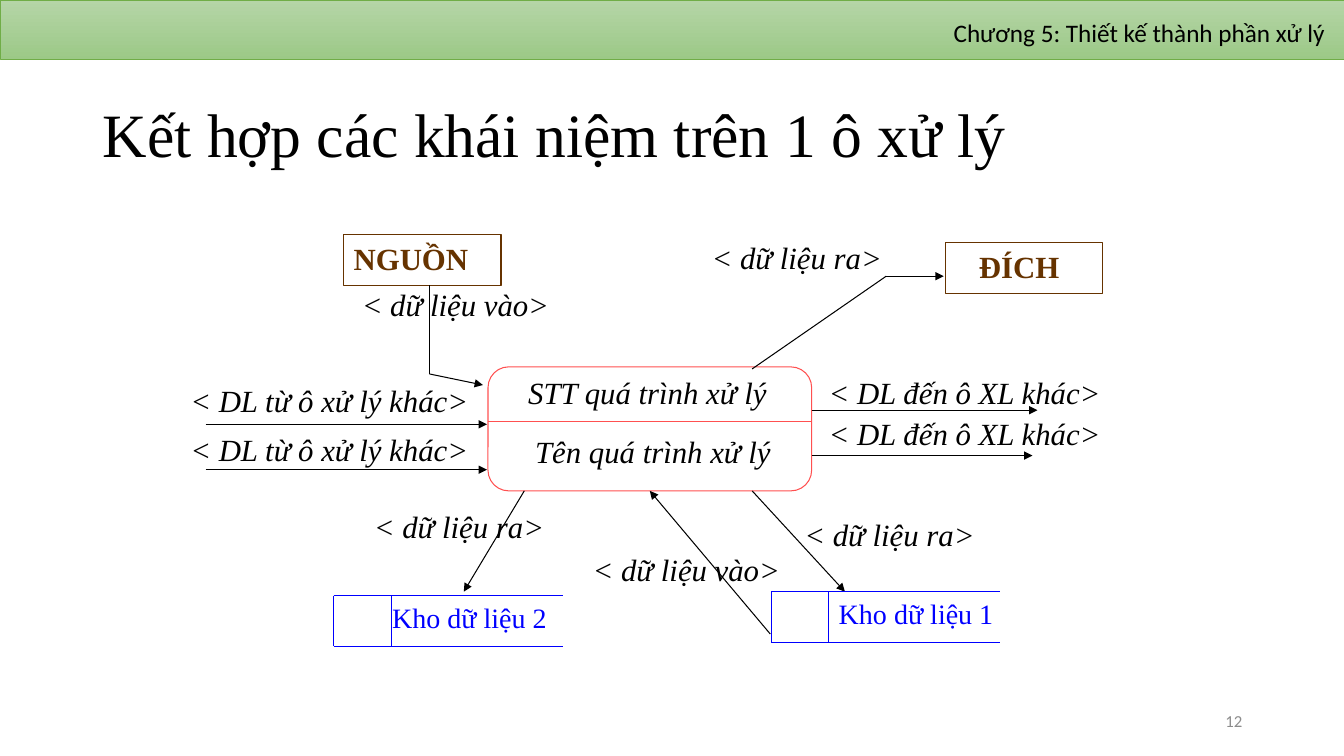
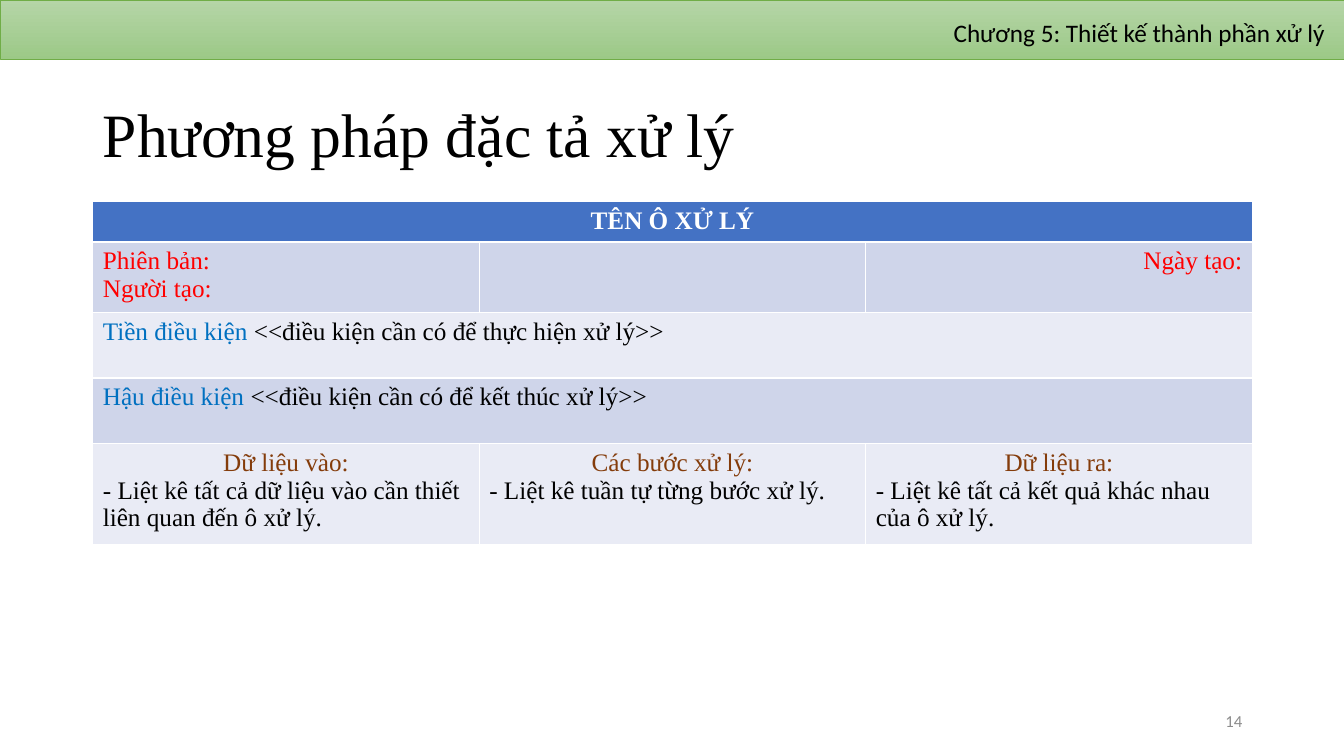
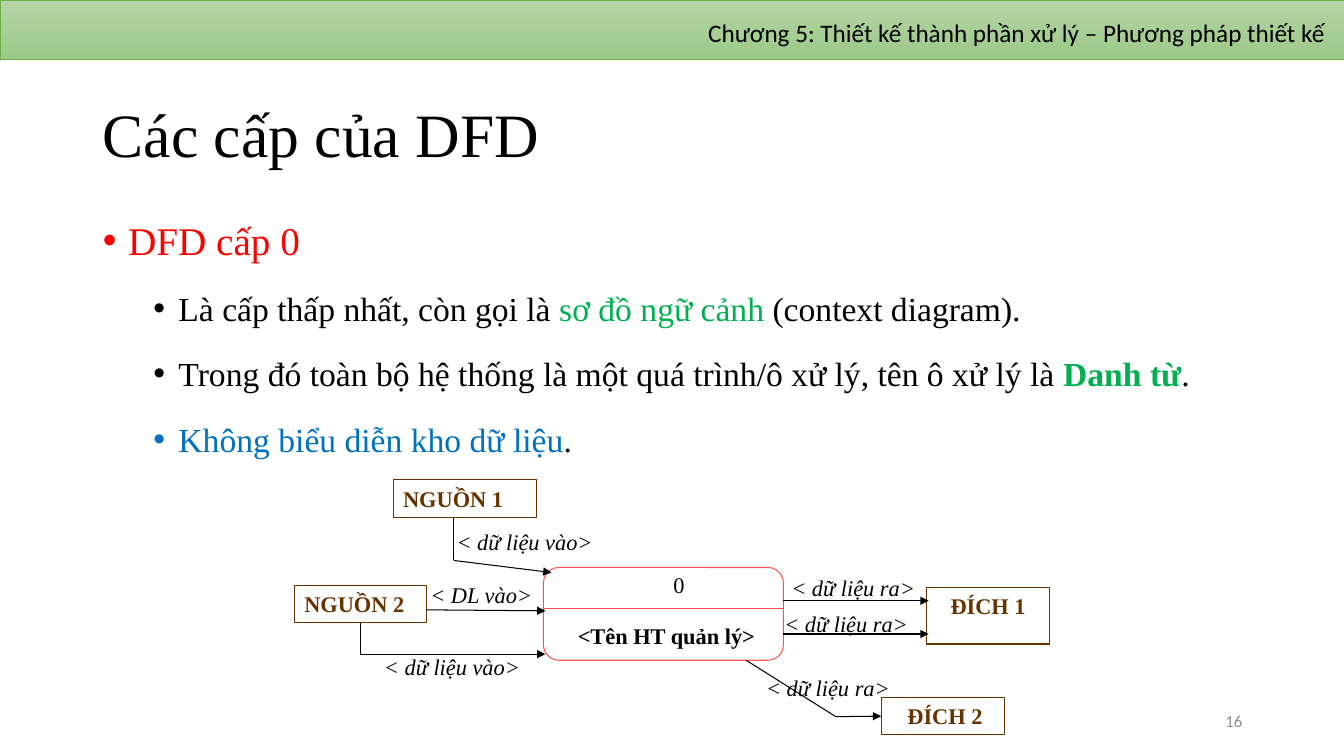
"""Builds three slides on process design: a data flow diagram, a specification table and DFD levels."""
from itertools import pairwise

from pptx import Presentation
from pptx.dml.color import RGBColor
from pptx.enum.shapes import MSO_CONNECTOR as Connector, MSO_SHAPE as Preset
from pptx.enum.text import MSO_ANCHOR as Anchor, MSO_AUTO_SIZE as AutoSize, PP_ALIGN as Align
from pptx.oxml.ns import qn
from pptx.util import Inches, Pt
from lxml.etree import SubElement

BLACK = RGBColor(0x00, 0x00, 0x00)
WHITE = RGBColor(0xFF, 0xFF, 0xFF)
GRAY = RGBColor(0x8C, 0x8C, 0x8C)
RED = RGBColor(0xFF, 0x00, 0x00)
CORAL = RGBColor(0xFF, 0x50, 0x50)
BROWN = RGBColor(0x66, 0x33, 0x00)
RUST = RGBColor(0x84, 0x3C, 0x0B)
GREEN = RGBColor(0x00, 0xB0, 0x50)
SKY = RGBColor(0x00, 0x70, 0xC0)
BLUE = RGBColor(0x00, 0x00, 0xFF)
BAND_TOP = RGBColor(0xB5, 0xD5, 0xA7)
BAND_BOTTOM = RGBColor(0x9C, 0xC9, 0x87)
BAND_LINE = RGBColor(0x70, 0xAD, 0x47)
TABLE_HEAD = RGBColor(0x44, 0x72, 0xC4)
TABLE_DARK = RGBColor(0xCF, 0xD5, 0xEA)
TABLE_LIGHT = RGBColor(0xE9, 0xEB, 0xF5)
SERIF, SANS = "Times New Roman", "Calibri"

CHAPTER = "Chương 5: Thiết kế thành phần xử lý"
DATA_IN, DATA_OUT = "< dữ liệu vào>", "< dữ liệu ra>"
FROM_PROCESS, TO_PROCESS = "< DL từ ô xử lý khác>", "< DL đến ô XL khác>"
PLAIN, ITALIC, BOLD = {}, {"italic": True}, {"bold": True}

PROCESS_DIAGRAM = {
    "size": 22,
    "process": (4.84, 3.64, 3.21, 1.23),
    "divider": 4.18,
    "boxes": [
        ("NGUỒN", (3.41, 2.33, 1.56, 0.5), 0.1, Align.LEFT),
        ("ĐÍCH", (9.38, 2.41, 1.56, 0.5), 0.33, Align.LEFT),
    ],
    "process_texts": [
        ("STT quá trình xử lý", (4.88, 3.66, 3.08, 0.5), ITALIC),
        ("Tên quá trình xử lý", (4.99, 4.24, 2.97, 0.5), ITALIC),
    ],
    "flows": [
        ([(4.26, 2.83), (4.26, 3.71), (4.79, 3.82)], None),
        ([(7.46, 3.66), (8.79, 2.74), (9.36, 2.74)], None),
        ([(2.04, 4.21), (4.83, 4.21)], None),
        ([(2.04, 4.66), (4.83, 4.66)], None),
        ([(8.05, 4.07), (10.29, 4.07)], None),
        ([(8.05, 4.52), (10.24, 4.52)], None),
        ([(5.2, 4.87), (4.6, 5.87)], None),
        ([(7.46, 4.87), (8.38, 5.87)], None),
        ([(7.64, 6.29), (6.44, 4.87)], ("process", 2)),
    ],
    "outlines": [],
    "labels": [
        (FROM_PROCESS, 1.79, 3.74, 3.07), (FROM_PROCESS, 1.79, 4.22, 3.17),
        (TO_PROCESS, 8.12, 3.66, 3.42), (TO_PROCESS, 8.12, 4.07, 3.42),
        (DATA_IN, 3.49, 2.79, 2.26), (DATA_OUT, 6.96, 2.32, 2.26),
        (DATA_OUT, 3.61, 4.99, 2.26), (DATA_OUT, 7.88, 5.07, 2.26),
        (DATA_IN, 5.78, 5.41, 2.26),
    ],
    "stores": [("Kho dữ liệu 1", 7.65, 5.87, 8.22), ("Kho dữ liệu 2", 3.31, 5.91, 3.79)],
}

CONTEXT_DIAGRAM = {
    "size": 16,
    "process": (5.39, 5.63, 2.38, 0.92),
    "divider": 6.04,
    "boxes": [
        ("NGUỒN 1", (3.9, 4.76, 1.42, 0.37), 0.1, Align.LEFT),
        ("NGUỒN 2", (2.92, 5.81, 1.31, 0.37), 0.1, Align.LEFT),
        ("ĐÍCH 1", (9.19, 5.83, 1.22, 0.56), 0.1, Align.CENTER),
        ("ĐÍCH 2", (8.74, 6.92, 1.22, 0.37), 0.26, Align.LEFT),
    ],
    "process_texts": [
        ("0", (6.52, 5.62, 0.43, 0.38), PLAIN),
        ("<Tên HT quản lý>", (5.46, 6.12, 2.3, 0.38), BOLD),
    ],
    "flows": [
        ([(4.5, 5.13), (4.5, 5.56), (5.47, 5.68)], None),
        ([(4.23, 6.05), (5.41, 6.06)], None),
        ([(7.77, 5.96), (9.21, 5.96)], None),
        ([(7.77, 6.29), (9.21, 6.29)], None),
        ([(7.4, 6.55), (8.29, 7.11), (8.74, 7.11)], ("ĐÍCH 2", 1)),
    ],
    "outlines": [[(3.58, 6.18), (3.58, 6.49), (5.41, 6.49)]],
    "labels": [
        ("< DL vào>", 4.17, 5.72, 1.37), (DATA_IN, 3.71, 6.43, 1.78),
        (DATA_OUT, 7.75, 5.65, 1.78), (DATA_OUT, 7.68, 6, 1.78),
        (DATA_IN, 4.43, 5.19, 1.78), (DATA_OUT, 7.5, 6.64, 1.78),
    ],
    "stores": [],
}

LEFT, CENTER, RIGHT = Align.LEFT, Align.CENTER, Align.RIGHT
TABLE_ROWS = [
    (0.4, TABLE_HEAD, [[(CENTER, [("TÊN Ô XỬ LÝ", WHITE)])]]),
    (0.65, TABLE_DARK, [
        [(LEFT, [("Phiên bản:", RED)]), (LEFT, [("Người tạo:", RED)])],
        [],
        [(RIGHT, [("Ngày tạo:", RED)])],
    ]),
    (0.65, TABLE_LIGHT, [[(LEFT, [
        ("Tiền điều kiện", SKY), (" <<điều kiện cần có để thực hiện xử lý>>", BLACK)])]]),
    (0.65, TABLE_DARK, [[(LEFT, [
        ("Hậu điều kiện", SKY), (" <<điều kiện cần có để kết thúc xử lý>>", BLACK)])]]),
    (0.92, TABLE_LIGHT, [
        [(CENTER, [(heading, RUST)]), (LEFT, [(detail, BLACK)])]
        for heading, detail in [
            ("Dữ liệu vào:", "- Liệt kê tất cả dữ liệu vào cần thiết liên quan đến ô xử lý."),
            ("Các bước xử lý:", "- Liệt kê tuần tự từng bước xử lý."),
            ("Dữ liệu ra:", "- Liệt kê tất cả kết quả khác nhau của ô xử lý."),
        ]
    ]),
]

BULLETS = [
    (0, [("DFD cấp 0", RED, False)]),
    (1, [("Là cấp thấp nhất, còn gọi là ", BLACK, False), ("sơ đồ ngữ cảnh", GREEN, False),
         (" (context diagram).", BLACK, False)]),
    (1, [("Trong đó toàn bộ hệ thống là một quá trình/ô xử lý, tên ô xử lý là ", BLACK, False),
         ("Danh từ", GREEN, True), (".", BLACK, False)]),
    (1, [("Không biểu diễn kho dữ liệu", SKY, False), (".", BLACK, False)]),
]


def add_run(paragraph, text, size, color=BLACK, name=SERIF, bold=False, italic=False):
    run = paragraph.add_run()
    run.text = text
    font = run.font
    font.size, font.name, font.bold, font.italic = Pt(size), name, bold, italic
    font.color.rgb = color


def place(shape, left, top, width, height):
    shape.left, shape.top = Inches(left), Inches(top)
    shape.width, shape.height = Inches(width), Inches(height)


def add_text(slide, text, area, size, align=Align.LEFT, anchor=Anchor.TOP, **style):
    frame = slide.shapes.add_textbox(*map(Inches, area)).text_frame
    frame.word_wrap = True
    frame.vertical_anchor = anchor
    paragraph = frame.paragraphs[0]
    paragraph.alignment = align
    add_run(paragraph, text, size, **style)


def add_box(slide, preset, area, color):
    box = slide.shapes.add_shape(preset, *map(Inches, area))
    box.shadow.inherit = False
    box.fill.solid()
    box.fill.fore_color.rgb = WHITE
    box.line.color.rgb = color
    box.line.width = Pt(0.75)
    return box


def style_line(shape, color, arrow):
    shape.line.color.rgb = color
    shape.line.width = Pt(0.75)
    if arrow:
        SubElement(shape.line._get_or_add_ln(), qn("a:tailEnd"), type="triangle")


def add_line(slide, start, end, color=BLACK, arrow=False):
    line = slide.shapes.add_connector(Connector.STRAIGHT, *map(Inches, (*start, *end)))
    style_line(line, color, arrow)
    SubElement(line.element.spPr, qn("a:effectLst"))
    return line


def add_outline(slide, points):
    start, *rest = [tuple(map(Inches, point)) for point in points]
    builder = slide.shapes.build_freeform(*start)
    builder.add_line_segments(rest, close=False)
    outline = builder.convert_to_shape()
    outline.fill.background()
    style_line(outline, BLACK, True)
    outline.shadow.inherit = False


def add_store(slide, text, left, top, text_left):
    right, bottom, inner = left + 2.27, top + 0.5, left + 0.57
    for y in (top, bottom):
        add_line(slide, (left, y), (right, y), BLUE)
    for x in (left, inner):
        add_line(slide, (x, top), (x, bottom), BLUE)
    add_text(slide, text, (text_left, top, 1.98, 0.5), 20, color=BLUE)


def add_diagram(slide, diagram):
    size = diagram["size"]
    left, _, width, _ = diagram["process"]
    divider = diagram["divider"]
    boxes = {"process": add_box(slide, Preset.ROUNDED_RECTANGLE, diagram["process"], CORAL)}
    add_line(slide, (left, divider), (left + width, divider), CORAL)
    for text, area, margin, align in diagram["boxes"]:
        box = boxes[text] = add_box(slide, Preset.RECTANGLE, area, BROWN)
        frame = box.text_frame
        frame.vertical_anchor = Anchor.TOP
        frame.margin_left = Inches(margin)
        frame.paragraphs[0].alignment = align
        add_run(frame.paragraphs[0], text, size, BROWN, bold=True)
    for points, target in diagram["flows"]:
        for start, end in pairwise(points):
            line = add_line(slide, start, end, arrow=end == points[-1])
        if target:
            name, side = target
            line.end_connect(boxes[name], side)
    for points in diagram["outlines"]:
        add_outline(slide, points)
    for text, area, style in diagram["process_texts"]:
        add_text(slide, text, area, size, Align.CENTER, **style)
    for text, label_left, top, label_width in diagram["labels"]:
        add_text(slide, text, (label_left, top, label_width, 0.47), size, italic=True)
    for store in diagram["stores"]:
        add_store(slide, *store)


def add_specification(slide):
    table = slide.shapes.add_table(
        len(TABLE_ROWS), 3, *map(Inches, (0.92, 2, 11.5, 3.27))).table
    for row, (height, color, contents) in enumerate(TABLE_ROWS):
        table.rows[row].height = Inches(height)
        if len(contents) == 1:
            table.cell(row, 0).merge(table.cell(row, 2))
        for column in range(3):
            cell = table.cell(row, column)
            cell.fill.solid()
            cell.fill.fore_color.rgb = color
        for column, paragraphs in enumerate(contents):
            frame = table.cell(row, column).text_frame
            for index, (align, runs) in enumerate(paragraphs):
                paragraph = frame.add_paragraph() if index else frame.paragraphs[0]
                paragraph.alignment = align
                for text, text_color in runs:
                    add_run(paragraph, text, 18, text_color, bold=row == 0)


def add_bullets(slide):
    body = slide.placeholders[1]
    place(body, 0.92, 2, 11.5, 4.76)
    frame = body.text_frame
    frame.auto_size = AutoSize.NONE
    for index, (level, runs) in enumerate(BULLETS):
        paragraph = frame.add_paragraph() if index else frame.paragraphs[0]
        paragraph.level = level
        paragraph.alignment = Align.JUSTIFY
        paragraph.line_spacing = 1.2
        paragraph.space_before = paragraph.space_after = Pt(6)
        properties = paragraph._p.get_or_add_pPr()
        properties.set("marL", str(Inches(0.25 + 0.5 * level)))
        properties.set("indent", str(Inches(-0.25)))
        SubElement(properties, qn("a:buFont"), typeface="Arial")
        SubElement(properties, qn("a:buChar"), char="•")
        for text, color, bold in runs:
            add_run(paragraph, text, 28 - 4 * level, color, bold=bold)


def add_master_band(presentation, slide):
    band = add_box(slide, Preset.RECTANGLE, (0, 0, 13.33, 0.59), BAND_LINE)
    band.line.width = Pt(0.5)
    band.fill.gradient()
    band.fill.gradient_angle = 270
    for stop, color in zip(band.fill.gradient_stops, (BAND_TOP, BAND_BOTTOM)):
        stop.color.rgb = color
    band.element.nvSpPr.cNvPr.set("id", "20")
    presentation.slide_master.shapes.element.insert(2, band.element)


def start_slide(presentation, layout, title_text, number, header, header_width):
    slide = presentation.slides.add_slide(presentation.slide_layouts[layout])
    title = slide.shapes.title
    place(title, 0.92, 0.88, 11.5, 0.97)
    frame = title.text_frame
    frame.auto_size = AutoSize.NONE
    frame.vertical_anchor = Anchor.MIDDLE
    paragraph = frame.paragraphs[0]
    paragraph.alignment = Align.LEFT
    paragraph.line_spacing = 0.9
    add_run(paragraph, title_text, 44)
    add_text(slide, number, (9.42, 6.95, 3, 0.4), 12, Align.RIGHT, Anchor.MIDDLE,
             color=GRAY, name=SANS)
    add_text(slide, header, (13.24 - header_width, 0.12, header_width, 0.4), 18, Align.RIGHT,
             name=SANS)
    return slide


def main():
    presentation = Presentation()
    presentation.slide_width, presentation.slide_height = Inches(13.33), Inches(7.5)

    process_slide = start_slide(
        presentation, 5, "Kết hợp các khái niệm trên 1 ô xử lý", "12", CHAPTER, 5.7)
    add_master_band(presentation, process_slide)
    add_diagram(process_slide, PROCESS_DIAGRAM)

    table_slide = start_slide(
        presentation, 5, "Phương pháp đặc tả xử lý", "14", CHAPTER, 5.7)
    add_specification(table_slide)

    levels_slide = start_slide(
        presentation, 1, "Các cấp của DFD", "16", CHAPTER + " – Phương pháp thiết kế", 9.27)
    add_bullets(levels_slide)
    add_diagram(levels_slide, CONTEXT_DIAGRAM)

    presentation.save("out.pptx")


if __name__ == "__main__":
    main()
